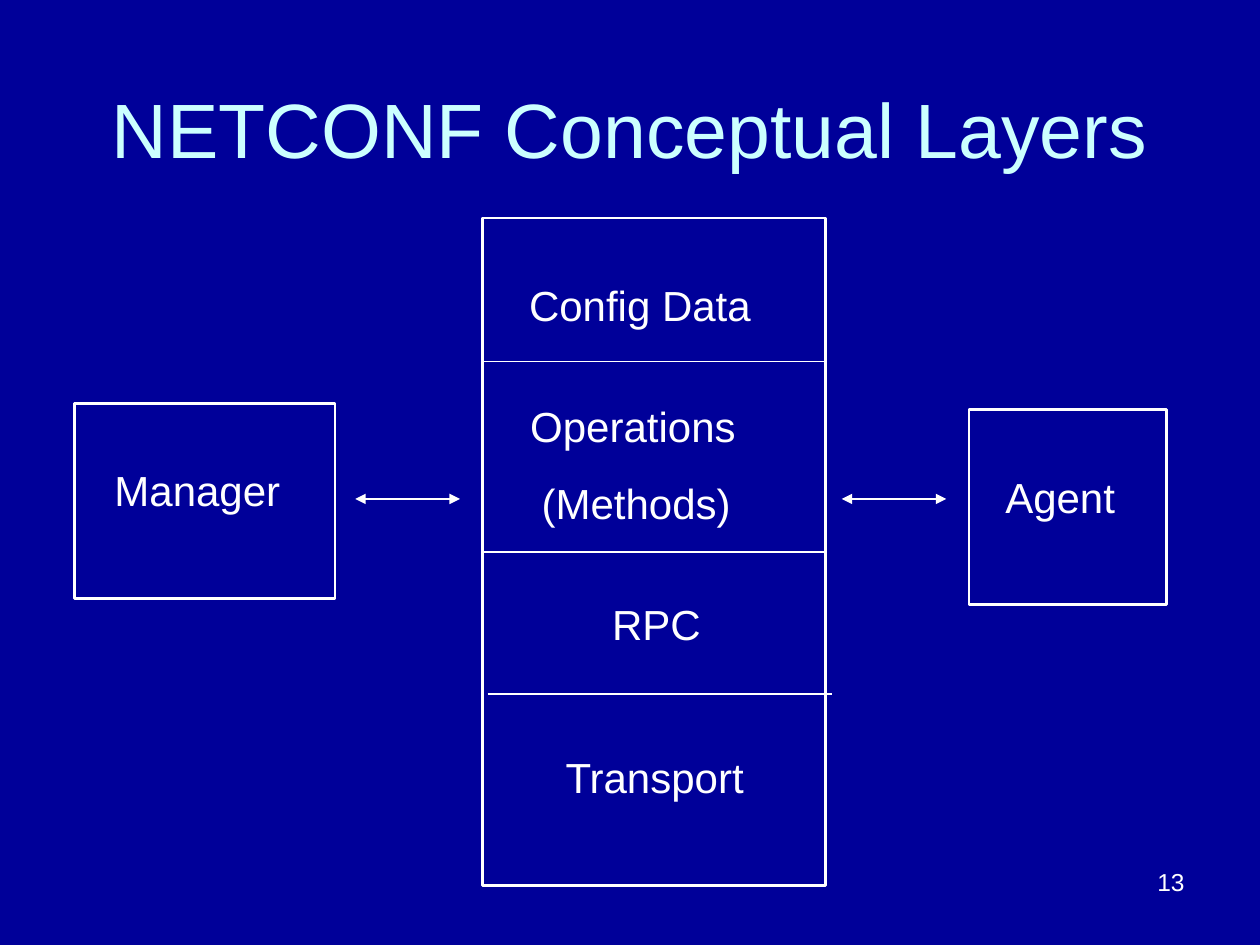
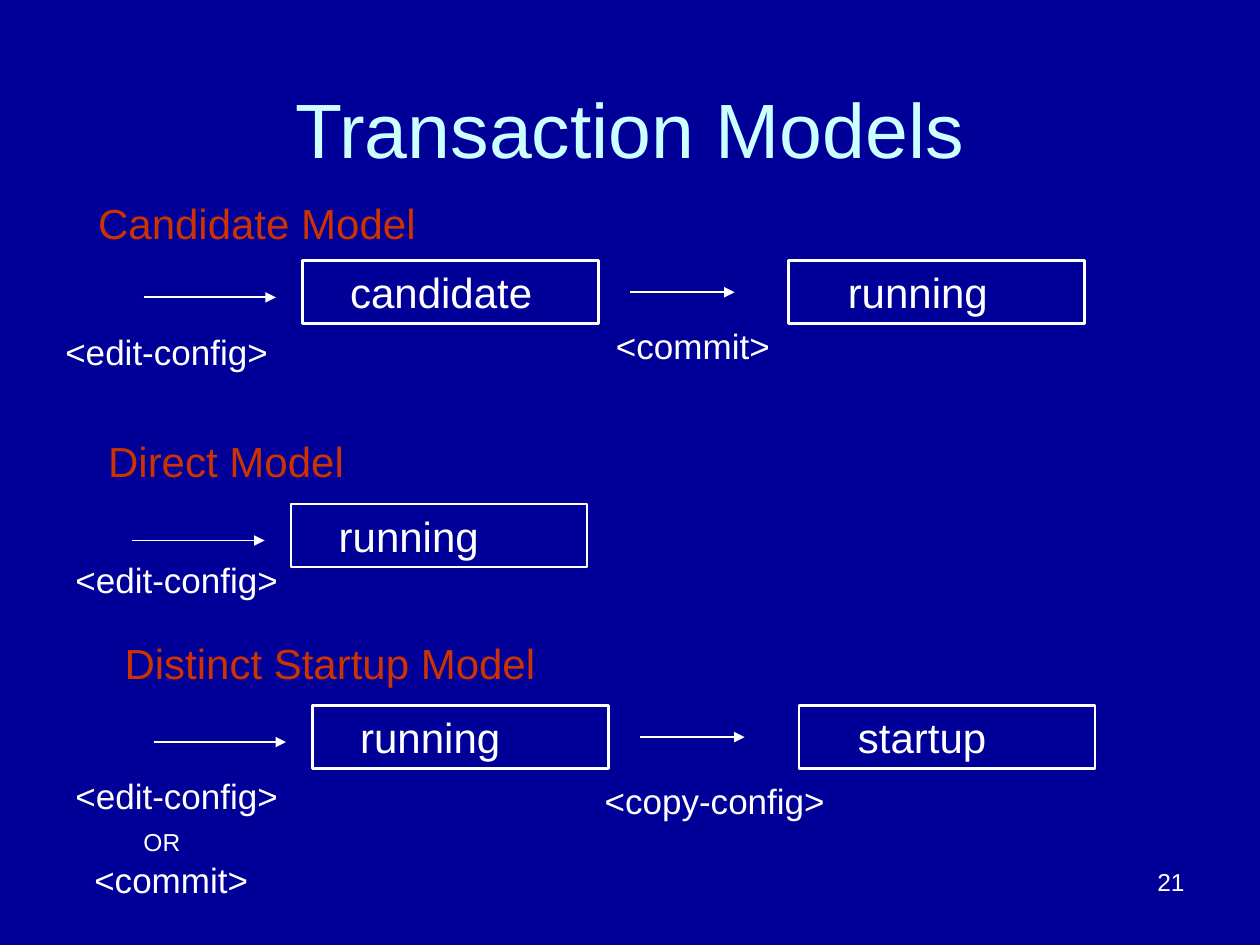
import lxml.etree
import pptx
import pptx.dml.color
import pptx.enum.shapes
import pptx.enum.text
import pptx.oxml.ns
import pptx.util

Inches = pptx.util.Inches
Pt = pptx.util.Pt
RGBColor = pptx.dml.color.RGBColor
ALIGN = pptx.enum.text.PP_ALIGN
ANCHOR = pptx.enum.text.MSO_ANCHOR
FIT = pptx.enum.text.MSO_AUTO_SIZE

NAVY = RGBColor(0x00, 0x00, 0x99)
WHITE = RGBColor(0xFF, 0xFF, 0xFF)
ICE = RGBColor(0xCC, 0xFF, 0xFF)
RUST = RGBColor(0xCC, 0x33, 0x00)
FONT = "Arial"


def write(frame, text, size=24, color=WHITE, align=ALIGN.LEFT, indent=0, before=0):
    """Add one paragraph to a frame, filling the first one if it is unused."""
    para = frame.paragraphs[0]
    if para.runs:
        para = frame.add_paragraph()
    para.alignment = align
    para.space_before = Pt(before)
    props = para._p.get_or_add_pPr()
    props.set("marL", str(Inches(indent)))
    props.set("indent", "0")
    run = para.add_run()
    run.text = text
    run.font.name = FONT
    run.font.size = Pt(size)
    run.font.color.rgb = color


class Deck:
    """Hold the shared style and the current slide."""

    def __init__(self):
        self.show = pptx.Presentation()
        self.show.slide_width = Inches(10)
        self.show.slide_height = Inches(7.5)
        self.slide = None

    def page(self, title, number):
        """Start a slide with its background, title and number."""
        self.slide = self.show.slides.add_slide(self.show.slide_layouts[6])
        fill = self.slide.background.fill
        fill.solid()
        fill.fore_color.rgb = NAVY
        head = self.text(0.5, 0.41, 9, 1.02, title, size=44, color=ICE,
                         align=ALIGN.CENTER)
        head.vertical_anchor = ANCHOR.BOTTOM
        self.text(7.17, 6.83, 2.33, 0.52, str(number), size=14, align=ALIGN.RIGHT)

    def text(self, left, top, width, height, words, **style):
        """Add a wrapped text box and return its frame."""
        shape = self.slide.shapes.add_textbox(
            Inches(left), Inches(top), Inches(width), Inches(height))
        frame = shape.text_frame
        frame.word_wrap = True
        write(frame, words, **style)
        return frame

    def label(self, left, top, width, words, height=0.44, size=20, **style):
        """Add an unwrapped text box that fits its words."""
        frame = self.text(left, top, width, height, words, size=size, **style)
        frame.word_wrap = False
        frame.auto_size = FIT.SHAPE_TO_FIT_TEXT
        return frame

    def box(self, left, top, width, height, rows, inset=0.05):
        """Add an outlined box with rows of (words, indent, space before)."""
        shape = self.slide.shapes.add_shape(
            pptx.enum.shapes.MSO_SHAPE.RECTANGLE,
            Inches(left), Inches(top), Inches(width), Inches(height))
        shape.shadow.inherit = False
        shape.fill.background()
        shape.line.color.rgb = WHITE
        shape.line.width = Pt(1.5)
        frame = shape.text_frame
        frame.word_wrap = True
        frame.vertical_anchor = ANCHOR.TOP
        frame.margin_top = Inches(inset)
        for words, indent, before in rows:
            write(frame, words, indent=indent, before=before)

    def line(self, start, end, y, tips=()):
        """Add a level line with arrowheads at the named tips."""
        link = self.slide.shapes.add_connector(
            pptx.enum.shapes.MSO_CONNECTOR.STRAIGHT,
            Inches(start), Inches(y), Inches(end), Inches(y))
        link.line.color.rgb = WHITE
        link.line.width = Pt(1)
        outline = link.line._get_or_add_ln()
        qn = pptx.oxml.ns.qn
        for tip in tips:
            lxml.etree.SubElement(outline, qn("a:" + tip), type="triangle")
        lxml.etree.SubElement(link._element.spPr, qn("a:effectLst"))


def layers(deck):
    """Build the slide of protocol layers."""
    deck.page("NETCONF Conceptual Layers", 13)
    deck.box(0.59, 3.2, 2.07, 1.55, [("Manager", 0.22, 0)], inset=0.49)
    deck.box(7.69, 3.25, 1.57, 1.55, [("Agent", 0.19, 0)], inset=0.49)
    stack = [("Config Data", 0.27, 0), ("Operations", 0.28, 40.5),
             ("(Methods)", 0.37, 15), ("RPC", 0.93, 40.5),
             ("Transport", 0.56, 58.6)]
    deck.box(3.83, 1.73, 2.72, 5.3, stack, inset=0.49)
    for left, y in ((3.82, 2.87), (3.82, 4.38), (3.87, 5.51)):
        deck.line(left, left + 2.73, y)
    for left in (2.82, 6.68):
        deck.line(left, left + 0.83, 3.96, ("headEnd", "tailEnd"))


def models(deck):
    """Build the slide of transaction models."""
    deck.page("Transaction Models", 21)
    flows = [(2.4, 2.07, "candidate", "running"),
             (2.31, 4, "running", None),
             (2.48, 5.6, "running", "startup")]
    for left, top, first, second in flows:
        deck.line(left - 1.26, left - 0.21, top + 0.29, ("tailEnd",))
        deck.box(left, top, 2.35, 0.5, [(first, 0.28, 0)])
        if second:
            deck.line(left + 2.6, left + 3.43, top + 0.25, ("tailEnd",))
            deck.box(left + 3.86, top, 2.35, 0.5, [(second, 0.37, 0)])

    for left, top, width, name in ((0.68, 1.52, 2.72, "Candidate Model"),
                                   (0.76, 3.41, 2.07, "Direct Model"),
                                   (0.89, 5.01, 3.46, "Distinct Startup Model")):
        deck.label(left, top, width, name, height=0.5, size=24, color=RUST)

    for left, top, width, call in ((0.42, 2.57, 1.81, "<edit-config>"),
                                   (4.79, 2.53, 1.42, "<commit>"),
                                   (0.5, 4.38, 1.81, "<edit-config>"),
                                   (4.7, 6.14, 1.95, "<copy-config>")):
        deck.label(left, top, width, call)

    choice = deck.label(0.5, 6.1, 1.81, "<edit-config>", height=1.1)
    write(choice, "OR", size=14, indent=0.54, before=6)
    write(choice, "<commit>", size=20, indent=0.15, before=1)


def main():
    """Build and save the deck."""
    deck = Deck()
    layers(deck)
    models(deck)
    deck.show.save("out.pptx")


if __name__ == "__main__":
    main()
